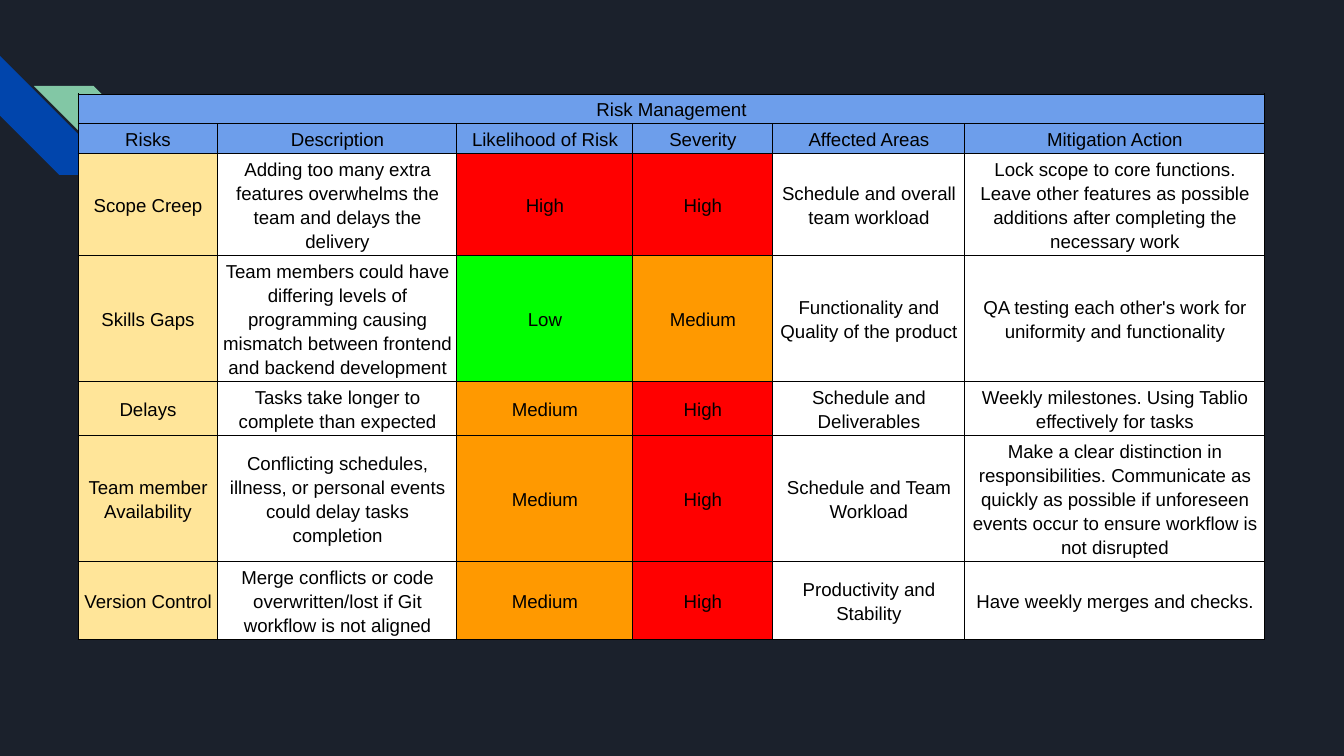
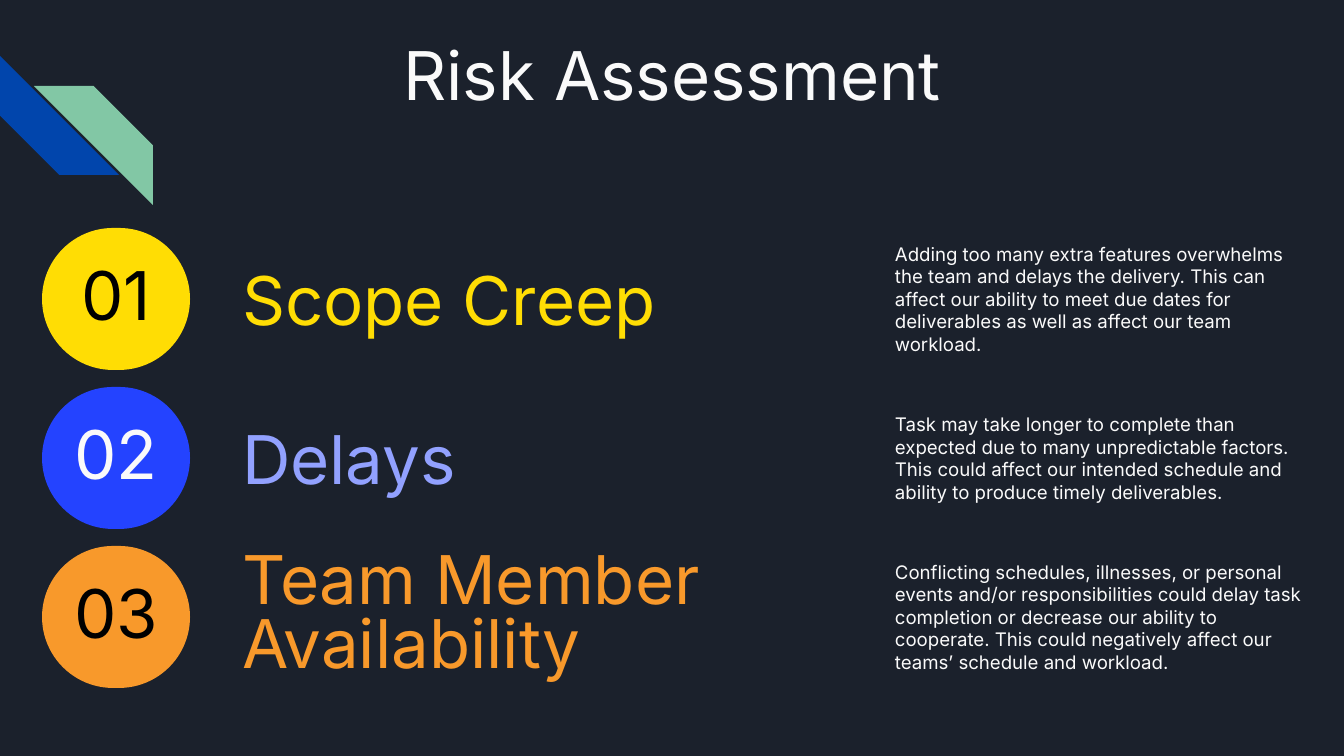
from lxml.etree import SubElement
from pptx import Presentation
from pptx.dml.color import RGBColor
from pptx.enum.shapes import MSO_SHAPE
from pptx.enum.text import MSO_ANCHOR, MSO_AUTO_SIZE, PP_ALIGN
from pptx.oxml.ns import qn
from pptx.util import Emu, Pt

# Shared scale, colours and fonts
EMU_PER_PX = 914400 / 134.4
WIDTH, HEIGHT = 1344, 756

NAVY = RGBColor(0x1B, 0x21, 0x2C)
BLUE = RGBColor(0x01, 0x45, 0xAC)
MINT = RGBColor(0x82, 0xC7, 0xA5)
OFF_WHITE = RGBColor(0xFA, 0xFA, 0xFA)
WHITE = RGBColor(0xFF, 0xFF, 0xFF)
BLACK = RGBColor(0x00, 0x00, 0x00)
HEADER = RGBColor(0x6D, 0x9E, 0xEB)
SAND = RGBColor(0xFF, 0xE5, 0x99)
RED = RGBColor(0xFF, 0x00, 0x00)
ORANGE = RGBColor(0xFF, 0x99, 0x00)
GREEN = RGBColor(0x00, 0xFF, 0x00)
YELLOW = RGBColor(0xFF, 0xDD, 0x04)
ROYAL = RGBColor(0x24, 0x43, 0xFF)
LAVENDER = RGBColor(0x92, 0xA1, 0xFF)
AMBER = RGBColor(0xF8, 0x99, 0x2B)

TABLE_FONT, SLIDE_FONT = "Arial", "Inter"
LEVELS = {"High": RED, "Medium": ORANGE, "Low": GREEN}

# Risk table content
COLUMNS = [140, 239, 176, 140, 192, 300]
ROWS = [30, 30, 97, 120, 52, 120, 74]
HEADINGS = ["Risks", "Description", "Likelihood of Risk", "Severity",
            "Affected Areas", "Mitigation Action"]
RISKS = [
    ["Scope Creep",
     "Adding too many extra features overwhelms the team and delays the delivery",
     "High", "High", "Schedule and overall team workload",
     "Lock scope to core functions. Leave other features as possible additions "
     "after completing the necessary work"],
    ["Skills Gaps",
     "Team members could have differing levels of programming causing mismatch "
     "between frontend and backend development",
     "Low", "Medium", "Functionality and Quality of the product",
     "QA testing each other's work for uniformity and functionality"],
    ["Delays", "Tasks take longer to complete than expected",
     "Medium", "High", "Schedule and Deliverables",
     "Weekly milestones. Using Tablio effectively for tasks"],
    ["Team member Availability",
     "Conflicting schedules, illness, or personal events could delay tasks completion",
     "Medium", "High", "Schedule and Team Workload",
     "Make a clear distinction in responsibilities. Communicate as quickly as "
     "possible if unforeseen events occur to ensure workflow is not disrupted"],
    ["Version Control",
     "Merge conflicts or code overwritten/lost if Git workflow is not aligned",
     "Medium", "High", "Productivity and Stability",
     "Have weekly merges and checks."],
]

# Assessment content: heading, text, badge fill, number colour, heading colour, spacing
ASSESSMENTS = [
    ("Scope Creep",
     "Adding too many extra features overwhelms the team and delays the delivery. "
     "This can affect our ability to meet due dates for deliverables as well as "
     "affect our team workload.",
     YELLOW, BLACK, YELLOW, 1.0),
    ("Delays",
     "Task may take longer to complete than expected due to many unpredictable "
     "factors. This could affect our intended schedule and ability to produce "
     "timely deliverables.",
     ROYAL, OFF_WHITE, LAVENDER, 1.0),
    ("Team Member Availability",
     "Conflicting schedules, illnesses, or personal events and/or responsibilities "
     "could delay task completion or decrease our ability to cooperate. This could "
     "negatively affect our teams’ schedule and workload.",
     AMBER, BLACK, AMBER, 0.8),
]


def px(n):
    return Emu(round(n * EMU_PER_PX))


def box(*lengths):
    return [px(n) for n in lengths]


def write(tf, text, size=10, font=SLIDE_FONT, color=OFF_WHITE,
          align=PP_ALIGN.LEFT, spacing=1.0):
    p = tf.paragraphs[0]
    p.alignment = align
    p.line_spacing = spacing
    r = p.add_run()
    r.text = text
    r.font.size = Pt(size)
    r.font.name = font
    r.font.color.rgb = color


def frame(sp, anchor=MSO_ANCHOR.MIDDLE):
    tf = sp.text_frame
    tf.word_wrap = True
    tf.vertical_anchor = anchor
    tf.margin_left = tf.margin_right = tf.margin_top = tf.margin_bottom = 0
    return tf


def add_filled(slide, kind, place, fill):
    sp = slide.shapes.add_shape(kind, *box(*place))
    sp.shadow.inherit = False
    sp.fill.solid()
    sp.fill.fore_color.rgb = fill
    sp.line.fill.background()
    return sp


def add_text(slide, place, text, **fmt):
    sp = slide.shapes.add_textbox(*box(*place))
    write(frame(sp), text, **fmt)


def add_slide(prs, layout):
    slide = prs.slides.add_slide(prs.slide_layouts.get_by_name(layout))
    # Corner stripes
    sp = add_filled(slide, MSO_SHAPE.DIAGONAL_STRIPE, (0, 56, 119, 119), BLUE)
    sp.rotation = 270
    sp = add_filled(slide, MSO_SHAPE.DIAGONAL_STRIPE, (34, 86, 119, 119), MINT)
    sp._element.spPr.find(qn("a:xfrm")).set("flipH", "1")
    return slide


def set_title(slide, place, text):
    sp = slide.shapes.title
    sp.left, sp.top, sp.width, sp.height = box(*place)
    tf = frame(sp, MSO_ANCHOR.TOP)
    tf.auto_size = MSO_AUTO_SIZE.SHAPE_TO_FIT_TEXT
    write(tf, text, size=36, align=PP_ALIGN.CENTER, spacing=0.85)


def add_borders(cell, color=BLACK, width=0.6):
    tcPr = cell._tc.get_or_add_tcPr()
    for side in ("a:lnL", "a:lnR", "a:lnT", "a:lnB"):
        ln = SubElement(tcPr, qn(side), w=str(Pt(width)))
        fill = SubElement(ln, qn("a:solidFill"))
        SubElement(fill, qn("a:srgbClr"), val=str(color))


def fill_cell(cell, text, fill, anchor=MSO_ANCHOR.MIDDLE):
    add_borders(cell)
    cell.fill.solid()
    cell.fill.fore_color.rgb = fill
    cell.vertical_anchor = anchor
    cell.margin_left = cell.margin_right = px(4)
    cell.margin_top = cell.margin_bottom = px(3)
    if text:
        write(cell.text_frame, text, font=TABLE_FONT, color=BLACK,
              align=PP_ALIGN.CENTER, spacing=1.15)


def add_risk_table(slide, left, top):
    place = box(left, top, sum(COLUMNS), sum(ROWS))
    table = slide.shapes.add_table(len(ROWS), len(COLUMNS), *place).table
    table.first_row = table.horz_banding = False
    for column, width in zip(table.columns, COLUMNS):
        column.width = px(width)
    for row, height in zip(table.rows, ROWS):
        row.height = px(height)

    # Heading rows
    table.cell(0, 0).merge(table.cell(0, len(COLUMNS) - 1))
    banner = ["Risk Management"] + [""] * (len(COLUMNS) - 1)
    for r, texts in enumerate([banner, HEADINGS]):
        for c, text in enumerate(texts):
            fill_cell(table.cell(r, c), text, HEADER, MSO_ANCHOR.BOTTOM)

    # Risk rows
    for r, texts in enumerate(RISKS, start=2):
        for c, text in enumerate(texts):
            fill = SAND if c == 0 else LEVELS.get(text, WHITE)
            fill_cell(table.cell(r, c), text, fill)


def add_assessment(slide, number, top, item):
    heading, text, badge_fill, number_color, heading_color, spacing = item
    height = 142
    badge = add_filled(slide, MSO_SHAPE.ROUNDED_RECTANGLE,
                       (42, top, 148, height), badge_fill)
    badge.adjustments[0] = 0.5
    write(frame(badge), f"{number:02d}", size=36, color=number_color,
          align=PP_ALIGN.CENTER, spacing=0.9)
    add_text(slide, (242, top, 602, height), heading, size=36,
             color=heading_color, spacing=spacing)
    add_text(slide, (895, top, 406, height), text)


def main():
    prs = Presentation()
    prs.slide_width, prs.slide_height = box(WIDTH, HEIGHT)
    background = prs.slide_master.background.fill
    background.solid()
    background.fore_color.rgb = NAVY

    # Risk management table
    slide = add_slide(prs, "Blank")
    add_risk_table(slide, 78, 94)

    # Risk assessment
    slide = add_slide(prs, "Title Only")
    set_title(slide, (255, 46, 835, 70), "Risk Assessment")
    for i, item in enumerate(ASSESSMENTS):
        add_assessment(slide, i + 1, 228 + 159 * i, item)

    prs.save("out.pptx")


if __name__ == "__main__":
    main()
